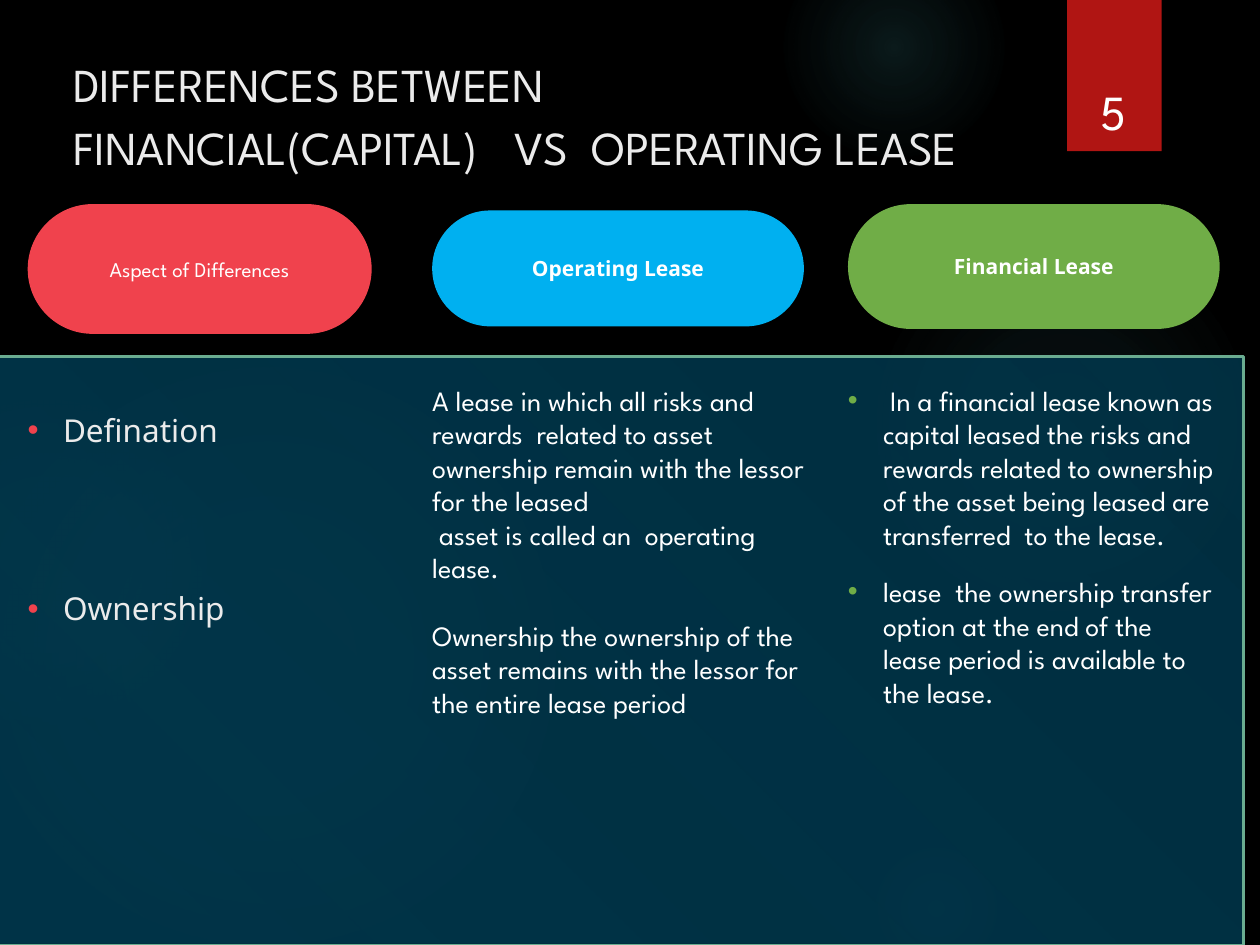
from lxml import etree
from pptx import Presentation
from pptx.dml.color import RGBColor
from pptx.enum.shapes import MSO_SHAPE as Shape
from pptx.enum.text import MSO_ANCHOR as Anchor, MSO_AUTO_SIZE as AutoSize, PP_ALIGN as Align
from pptx.oxml import parse_xml
from pptx.oxml.ns import nsdecls, qn
from pptx.util import Inches, Pt

# Content
TITLE = ["DIFFERENCES BETWEEN", "FINANCIAL(CAPITAL)\tVS  OPERATING LEASE"]
PAGE = "5"
HEADINGS = [  # text, box, fill, font, bold
    ("Aspect of Differences", (0.22, 1.62, 2.73, 1.03), "red", "display", False),
    ("Operating Lease", (3.43, 1.67, 2.95, 0.92), "blue", "plain", True),
    ("Financial Lease", (6.73, 1.62, 2.95, 0.99), "green", "plain", True),
]
ASPECTS = ["Defination", "Ownership"]
OPERATING = [
    "A lease in which all risks and rewards  related to asset ownership remain "
    "with the lessor for the leased",
    " asset is called an  operating lease.",
    "Ownership the ownership of the asset remains with the lessor for the entire lease period",
]
FINANCIAL = [
    " In a financial lease known as capital leased the risks and rewards related to "
    "ownership of the asset being leased are transferred  to the lease.",
    "lease  the ownership transfer option at the end of the lease period is available to the lease.",
]
GLOWS = [  # left, top, diameter, (position, opacity) stops
    (6.89, 1.83, 3.08, [(0, 7), (36, 6), (69, 0)]),
    (6.22, -0.5, 1.75, [(0, 14), (36, 7), (73, 0)]),
    (6.89, 6.67, 1.08, [(0, 9), (36, 5), (66, 0)]),
    (-0.17, 2.92, 4.58, [(0, 11), (36, 10), (75, 0)]),
    (-0.92, 3.17, 2.58, [(0, 8), (36, 8), (72, 0)]),
]
THEME = {
    "black": "000000", "white": "FFFFFF", "soft": "EBEBEB", "glow": "50B9C1",
    "badge": "B01513", "panel": "01394F", "edge": "6AAC90",
    "red": "F0424D", "blue": "00B0F0", "green": "70AD47",
    "display": "League Spartan", "plain": "Noto Sans",
    "title": 27, "page": 28, "heading": 12, "aspect": 18, "body": 16,
}
RADIAL = '<a:path path="circle"><a:fillToRect l="50000" t="50000" r="50000" b="50000"/></a:path>'
DIAGONAL = '<a:lin ang="8100000" scaled="0"/>'


def color(name):
    return RGBColor.from_string(THEME[name])


def place(part, box):
    for side, value in zip(("left", "top", "width", "height"), box):
        setattr(part, side, Inches(value))


def add_block(kind, box, fill=None):
    block = slide.shapes.add_shape(kind, *map(Inches, box))
    block.shadow.inherit = False
    block.line.fill.background()
    if fill:
        block.fill.solid()
        block.fill.fore_color.rgb = color(fill)
    return block


def fade(block, name, stops, direction):
    marks = "".join(
        f'<a:gs pos="{at * 1000}"><a:srgbClr val="{THEME[name]}">'
        f'<a:alpha val="{alpha * 1000}"/></a:srgbClr></a:gs>' for at, alpha in stops)
    block._element.spPr.find(qn("a:prstGeom")).addnext(parse_xml(
        f'<a:gradFill {nsdecls("a")} rotWithShape="1"><a:gsLst>{marks}</a:gsLst>'
        f'{direction}</a:gradFill>'))


def write(part, lines, size, ink="white", face="display", bold=False, align=Align.LEFT,
          anchor=Anchor.TOP, insets=(0, 0, 0, 0), gaps=(), spacing=None, bullet=None):
    frame = part.text_frame
    frame.text = "\n".join(lines)
    left, top, right, bottom = map(Inches, insets)
    frame_format = {"word_wrap": True, "auto_size": AutoSize.NONE, "vertical_anchor": anchor,
                    "margin_left": left, "margin_top": top,
                    "margin_right": right, "margin_bottom": bottom}
    for key, value in frame_format.items():
        setattr(frame, key, value)
    for i, paragraph in enumerate(frame.paragraphs):
        after = Pt(gaps[i]) if i < len(gaps) else Pt(0)
        for key, value in {"alignment": align, "space_before": Pt(0), "space_after": after,
                           "line_spacing": spacing}.items():
            setattr(paragraph, key, value)
        for run in paragraph.runs:
            for key, value in {"name": THEME[face], "size": Pt(THEME[size]), "bold": bold}.items():
                setattr(run.font, key, value)
            run.font.color.rgb = color(ink)
        if bullet:
            props = paragraph._p.get_or_add_pPr()
            props.set("marL", str(Inches(0.28)))
            props.set("indent", str(-Inches(0.28)))
            tint = etree.SubElement(props, qn("a:buClr"))
            etree.SubElement(tint, qn("a:srgbClr"), val=THEME[bullet])
            etree.SubElement(props, qn("a:buFont"), typeface="Arial")
            etree.SubElement(props, qn("a:buChar"), char="•")


deck = Presentation()
deck.slide_width, deck.slide_height = Inches(10), Inches(7.5)
slide = deck.slides.add_slide(deck.slide_layouts[3])
title, aspects, financial = slide.placeholders
slide.background.fill.solid()
slide.background.fill.fore_color.rgb = color("black")

# Backdrop: glows, page badge, panel
for left, top, size, stops in GLOWS:
    fade(add_block(Shape.OVAL, (left, top, size, size)), "glow", stops, RADIAL)
add_block(Shape.RECTANGLE, (8.47, 0, 0.75, 1.2), "badge")
panel = add_block(Shape.RECTANGLE, (-0.02, 2.83, 9.89, 4.67))
fade(panel, "panel", [(0, 80), (94, 90)], DIAGONAL)
panel.line.color.rgb = color("edge")
panel.line.width = Pt(1.5)

# Placeholders go in front of the backdrop
for holder, box in ((title, (-0.02, 0.17, 8.93, 2.21)),
                    (aspects, (0.22, 3.26, 3.1, 2.49)),
                    (financial, (6.73, 3.04, 2.93, 2.71))):
    place(holder, box)
    slide.shapes._spTree.append(holder._element)

# Title, with a tab stop before the second term
write(title, TITLE, "title", "soft", insets=(0.6, 0.22, 0, 0), spacing=Pt(36))
stops = etree.SubElement(title.text_frame.paragraphs[1]._p.get_or_add_pPr(), qn("a:tabLst"))
etree.SubElement(stops, qn("a:tab"), pos=str(Inches(3.5)), algn="l")

page = slide.shapes.add_textbox(*map(Inches, (8.49, 0.32, 0.69, 0.84)))
write(page, [PAGE], "page", align=Align.CENTER, anchor=Anchor.BOTTOM,
      insets=(0.1, 0.05, 0.1, 0.05))

# Column headings
for text, box, fill, face, bold in HEADINGS:
    pill = add_block(Shape.ROUNDED_RECTANGLE, box, fill)
    pill.adjustments[0] = 0.5
    write(pill, [text], "heading", face=face, bold=bold, align=Align.CENTER, anchor=Anchor.MIDDLE)

# Columns
write(aspects, ASPECTS, "aspect", "soft", "plain", gaps=(80.5,), bullet="red")
operating = slide.shapes.add_textbox(*map(Inches, (3.43, 3.04, 3.05, 2.71)))
write(operating, OPERATING, "body", gaps=(0, 19.2))
write(financial, FINANCIAL, "body", gaps=(13.5,), bullet="green")

deck.save("out.pptx")
